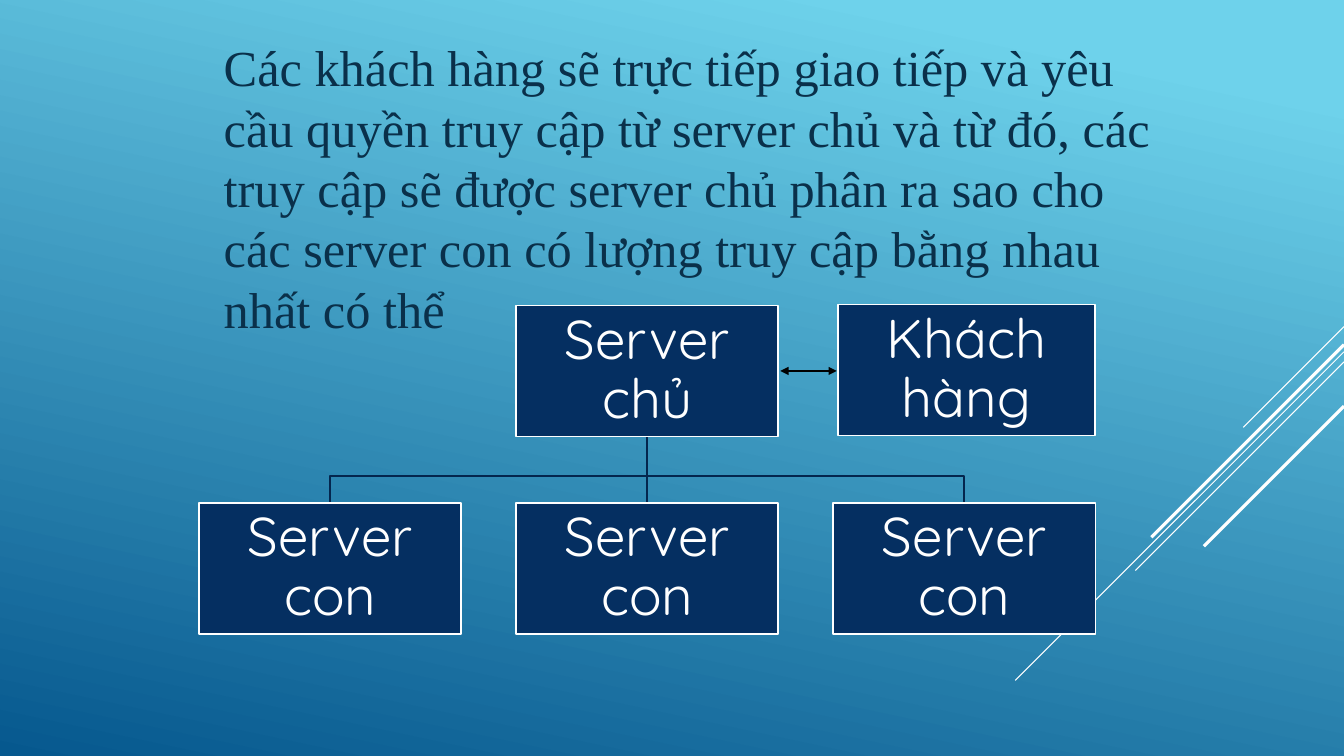
"""Build a slide explaining how a main server balances client access."""
from lxml import etree
from pptx import Presentation
from pptx.dml.color import RGBColor
from pptx.enum.shapes import MSO_CONNECTOR as Link, MSO_SHAPE as Preset
from pptx.enum.text import MSO_ANCHOR as Anchor, PP_ALIGN as Align
from pptx.oxml.ns import qn
from pptx.util import Inches, Pt

SKY = RGBColor(0x6E, 0xD2, 0xEB)
DEEP = RGBColor(0x06, 0x58, 0x8E)
INK = RGBColor(0x0A, 0x30, 0x4A)
NAVY = RGBColor(0x05, 0x2F, 0x61)
BRANCH = RGBColor(0x04, 0x26, 0x4E)
WHITE = RGBColor(0xFF, 0xFF, 0xFF)
BLACK = RGBColor(0x00, 0x00, 0x00)

INTRO = (
    "Các khách hàng sẽ trực tiếp giao tiếp và yêu cầu quyền truy cập từ server chủ "
    "và từ đó, các truy cập sẽ được server chủ phân ra sao cho các server con có "
    "lượng truy cập bằng nhau nhất có thể"
)
PAGE_WIDTH = 13.33
STRIPES = [(3.24, 1, 0.75), (3.49, 3.26, 0.75), (3.59, 2.07, 0.75),
           (3.42, 1.91, 2.25), (4.03, 1.39, 2.25)]
BOX_WIDTH, BOX_HEIGHT = 2.6, 1.3
MAIN_LEFT, MAIN_TOP = 5.12, 3.03
CHILD_TOP, CHILD_STEP = 4.99, 3.145
BRANCH_TOP, BRANCH_TURN = MAIN_TOP + BOX_HEIGHT, 4.72


def paint_background(page):
    """Fill the page with the slanted blue gradient."""
    fill = page.background.fill
    fill.gradient()
    fill.gradient_angle = 360 - 102
    for stop, position, color in zip(fill.gradient_stops, (0.1, 1), (SKY, DEEP)):
        stop.position = position
        stop.color.rgb = color


def add_line(page, start, end, color, width, arrows=False):
    """Draw a straight line, with an arrowhead at both ends if wanted."""
    line = page.shapes.add_connector(Link.STRAIGHT, *map(Inches, start + end))
    line.line.color.rgb = color
    line.line.width = Pt(width)
    etree.SubElement(line._element.spPr, qn("a:effectLst"))
    if arrows:
        outline = line.line._get_or_add_ln()
        for tag in ("a:headEnd", "a:tailEnd"):
            etree.SubElement(outline, qn(tag), type="triangle")


def add_elbow(page, start_x, end_x):
    """Draw a bent branch from the main server to a child server."""
    points = [(start_x, BRANCH_TOP), (start_x, BRANCH_TURN),
              (end_x, BRANCH_TURN), (end_x, CHILD_TOP)]
    corners = [(Inches(x), Inches(y)) for x, y in points]
    builder = page.shapes.build_freeform(*corners[0])
    builder.add_line_segments(corners[1:], close=False)
    elbow = builder.convert_to_shape()
    elbow.shadow.inherit = False
    elbow.fill.background()
    elbow.line.color.rgb = BRANCH
    elbow.line.width = Pt(1.25)


def add_span(para, text, font, size, color):
    """Add one formatted run to a paragraph."""
    span = para.add_run()
    span.text = text
    span.font.name = font
    span.font.size = Pt(size)
    span.font.color.rgb = color


def add_intro(page):
    """Place the introductory paragraph."""
    box = page.shapes.add_textbox(Inches(2.12), Inches(0.31), Inches(9.52), Inches(3.13))
    box.text_frame.word_wrap = True
    add_span(box.text_frame.paragraphs[0], INTRO, "Times New Roman", 36, INK)


def add_node(page, text, left, top, width=BOX_WIDTH):
    """Draw a navy box with a centred label."""
    box = page.shapes.add_shape(
        Preset.RECTANGLE, Inches(left), Inches(top), Inches(width), Inches(BOX_HEIGHT))
    box.shadow.inherit = False
    box.fill.solid()
    box.fill.fore_color.rgb = NAVY
    box.line.color.rgb = WHITE
    box.line.width = Pt(1.25)
    frame = box.text_frame
    frame.word_wrap = True
    frame.vertical_anchor = Anchor.MIDDLE
    frame.margin_left = frame.margin_right = Inches(0.03)
    frame.margin_top = frame.margin_bottom = Inches(0.03)
    para = frame.paragraphs[0]
    para.alignment = Align.CENTER
    para.line_spacing = 0.9
    add_span(para, text, "Quicksand", 39, WHITE)


def add_server_tree(page):
    """Draw the main server, its three children and their branches."""
    middle = MAIN_LEFT + BOX_WIDTH / 2
    for side in (1, -1):
        add_elbow(page, middle, middle + side * CHILD_STEP)
    add_line(page, (middle, BRANCH_TOP), (middle, CHILD_TOP), BRANCH, 1.25)
    add_node(page, "Server chủ", MAIN_LEFT, MAIN_TOP)
    for side in (-1, 0, 1):
        add_node(page, "Server con", MAIN_LEFT + side * CHILD_STEP, CHILD_TOP)


def main():
    """Build and save the deck."""
    deck = Presentation()
    deck.slide_width, deck.slide_height = Inches(PAGE_WIDTH), Inches(7.5)
    page = deck.slides.add_slide(deck.slide_layouts[6])
    paint_background(page)
    for top, reach, width in STRIPES:
        add_line(page, (PAGE_WIDTH, top), (PAGE_WIDTH - reach, top + reach), WHITE, width)
    add_intro(page)
    add_server_tree(page)
    add_node(page, "Khách hàng", 8.31, 3.02, 2.55)
    add_line(page, (7.74, 3.68), (8.3, 3.68), BLACK, 1.25, arrows=True)
    deck.save("out.pptx")


if __name__ == "__main__":
    main()
